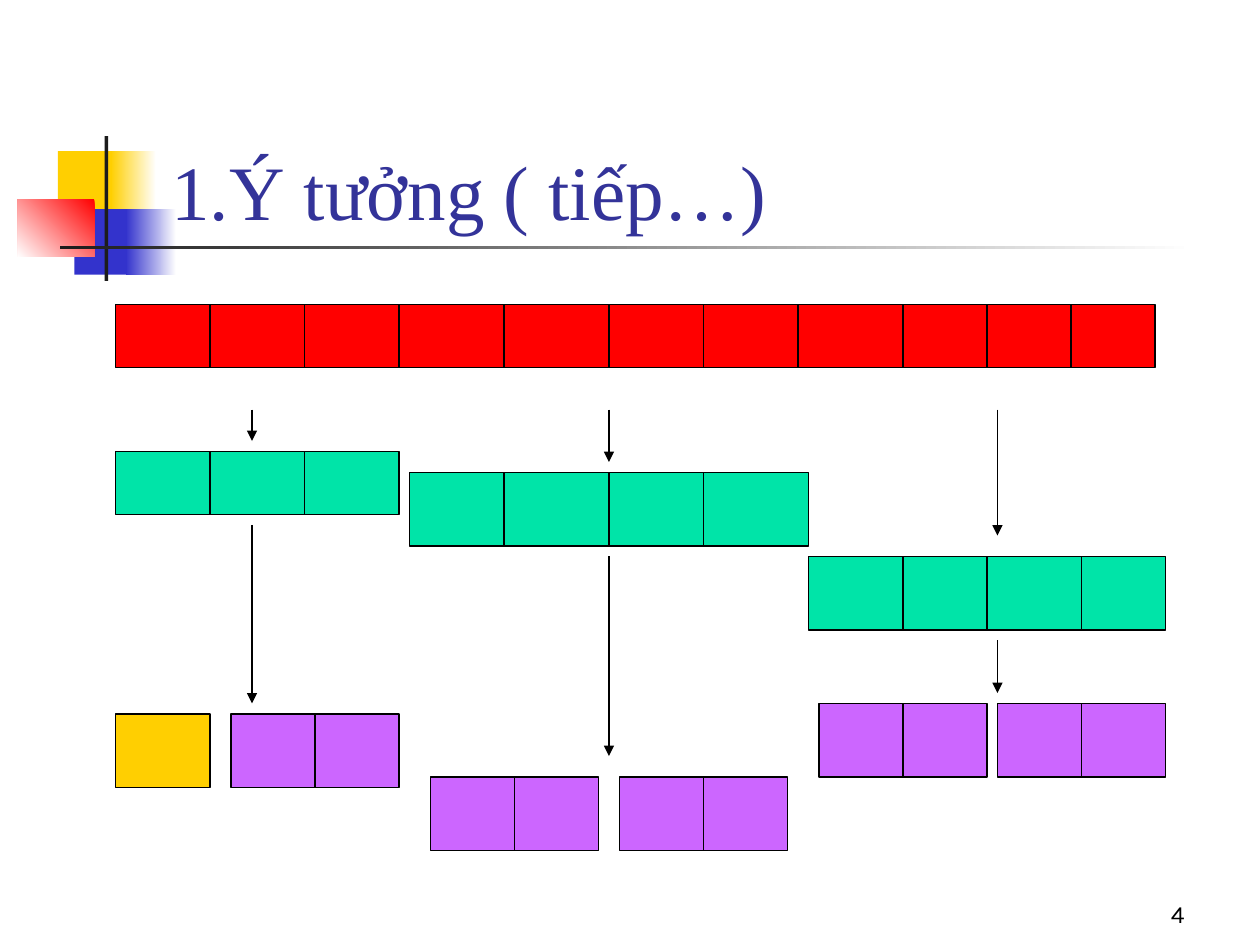
from itertools import accumulate

from pptx import Presentation
from pptx.dml.color import RGBColor
from pptx.enum.shapes import MSO_CONNECTOR, MSO_SHAPE
from pptx.enum.text import MSO_ANCHOR, PP_ALIGN
from pptx.oxml.ns import qn
from pptx.util import Inches, Pt
from lxml import etree

RECTANGLE = MSO_SHAPE.RECTANGLE
STRAIGHT = MSO_CONNECTOR.STRAIGHT
BOTTOM = MSO_ANCHOR.BOTTOM
LEFT, RIGHT = PP_ALIGN.LEFT, PP_ALIGN.RIGHT

WHITE = RGBColor(0xFF, 0xFF, 0xFF)
BLACK = RGBColor(0x00, 0x00, 0x00)
CHARCOAL = RGBColor(0x1C, 0x1C, 0x1C)
YELLOW = RGBColor(0xFF, 0xCF, 0x01)
BLUE = RGBColor(0x33, 0x33, 0xCC)
TITLE_BLUE = RGBColor(0x33, 0x33, 0x99)
RED = RGBColor(0xFF, 0x00, 0x00)
GREEN = RGBColor(0x00, 0xE4, 0xA8)
PURPLE = RGBColor(0xCC, 0x66, 0xFF)

TITLE_ONLY = 5
LINE_WIDTH = Pt(0.75)
ARRAY_HEIGHT, PART_HEIGHT = 6, 7


def grid(units):
    """Turn steps of the diagram grid, twelve to the inch, into a length."""
    return Inches(units / 12)


def add_rectangle(shapes, left, top, width, height):
    shape = shapes.add_shape(RECTANGLE, left, top, width, height)
    shape.shadow.inherit = False
    shape.line.fill.background()
    return shape


def fill_solid(shape, color):
    shape.fill.solid()
    shape.fill.fore_color.rgb = color


def fill_gradient(shape, start, end, angle):
    shape.fill.gradient()
    shape.fill.gradient_angle = angle
    for stop, color in zip(shape.fill.gradient_stops, (start, end)):
        stop.color.rgb = color


def add_line(shapes, start, end, arrow=False):
    line = shapes.add_connector(STRAIGHT, *map(grid, start + end))
    line.line.color.rgb = BLACK
    line.line.width = LINE_WIDTH
    if arrow:
        head = etree.SubElement(line.line._get_or_add_ln(), qn("a:tailEnd"))
        head.set("type", "triangle")
    etree.SubElement(line._element.spPr, qn("a:effectLst"))


def set_text(shape, text, *, size, font, color, align=LEFT):
    frame = shape.text_frame
    frame.word_wrap = True
    frame.vertical_anchor = BOTTOM
    paragraph = frame.paragraphs[0]
    paragraph.alignment = align
    run = paragraph.add_run()
    run.text = text
    run.font.size = Pt(size)
    run.font.name = font
    run.font.color.rgb = color


def add_ornament(slide, left, top):
    """Draw the coloured squares and the crossing bars beside the title."""
    def block(x, y, width, height):
        return add_rectangle(slide.shapes, left + Inches(x), top + Inches(y),
                             Inches(width), Inches(height))

    fill_solid(block(0.32, 0.12, 0.48, 0.52), YELLOW)
    fill_gradient(block(0.74, 0.12, 0.36, 0.52), WHITE, YELLOW, 180)
    fill_solid(block(0.45, 0.58, 0.46, 0.52), BLUE)
    fill_gradient(block(0.86, 0.58, 0.4, 0.52), WHITE, BLUE, 180)
    fill_gradient(block(0, 0.5, 0.61, 0.46), RED, WHITE, 225)
    fill_solid(block(0.69, 0, 0.03, 1.15), CHARCOAL)
    fill_gradient(block(0.34, 0.87, 9, 0.03), WHITE, CHARCOAL, 180)


def add_heading(slide, left, top, width, height):
    title = slide.shapes.title
    title.left, title.top, title.width, title.height = left, top, width, height
    set_text(title, "1.Ý tưởng ( tiếp…)", size=44, font="Times New Roman",
             color=TITLE_BLUE)


def add_page_number(slide, left, top, width, height):
    box = slide.shapes.add_textbox(left, top, width, height)
    set_text(box, "4", size=14, font="Karla", color=BLACK, align=RIGHT)


def add_array(shapes, left, top, cells, color, height=PART_HEIGHT):
    """Draw a bar divided into cells of the given grid widths."""
    bar = add_rectangle(shapes, *map(grid, (left, top, sum(cells), height)))
    fill_solid(bar, color)
    bar.line.color.rgb = BLACK
    bar.line.width = LINE_WIDTH
    for offset in accumulate(cells[:-1]):
        x = left + offset
        add_line(shapes, (x, top), (x, top + height))


def add_stage(slide, arrays, arrows=()):
    """Group the arrays of one splitting step with the arrows leading to it."""
    shapes = slide.shapes.add_group_shape().shapes
    for array in arrays:
        add_array(shapes, *array)
    for x, start, end in arrows:
        add_line(shapes, (x, start), (x, end), arrow=True)


def add_diagram(slide, left, top):
    """Draw the array and its splits from a corner given in grid units."""
    centers = [left + x for x in (13, 47, 84)]
    pair = [8, 8]

    add_stage(slide, [(left, top, [9, 9, 9, 10, 10, 9, 9, 10, 8, 8, 8], RED,
                       ARRAY_HEIGHT)])
    add_stage(
        slide,
        [(left, top + 14, [9, 9, 9], GREEN, ARRAY_HEIGHT),
         (left + 28, top + 16, [9, 10, 9, 10], GREEN),
         (left + 66, top + 24, [9, 8, 9, 8], GREEN)],
        [(x, top + 10, top + end) for x, end in zip(centers, (13, 15, 22))])

    halves = [
        (39, [(0, [9], YELLOW), (11, pair, PURPLE)], (21, 38)),
        (45, [(30, pair, PURPLE), (48, pair, PURPLE)], (24, 43)),
        (38, [(67, pair, PURPLE), (84, pair, PURPLE)], (32, 37)),
    ]
    for x, (y, parts, (start, end)) in zip(centers, halves):
        add_stage(slide,
                  [(left + offset, top + y, cells, color)
                   for offset, cells, color in parts],
                  [(x, top + start, top + end)])


def main():
    presentation = Presentation()
    presentation.slide_width = Inches(10)
    presentation.slide_height = Inches(7.5)
    slide = presentation.slides.add_slide(
        presentation.slide_layouts[TITLE_ONLY])
    add_ornament(slide, Inches(0.14), Inches(1.08))
    add_page_number(slide, Inches(7.42), Inches(6.92), Inches(2.08), Inches(0.5))
    add_heading(slide, Inches(1.26), Inches(0.67), Inches(8.52), Inches(1.25))
    add_diagram(slide, 11, 29)
    presentation.save("out.pptx")


if __name__ == "__main__":
    main()
